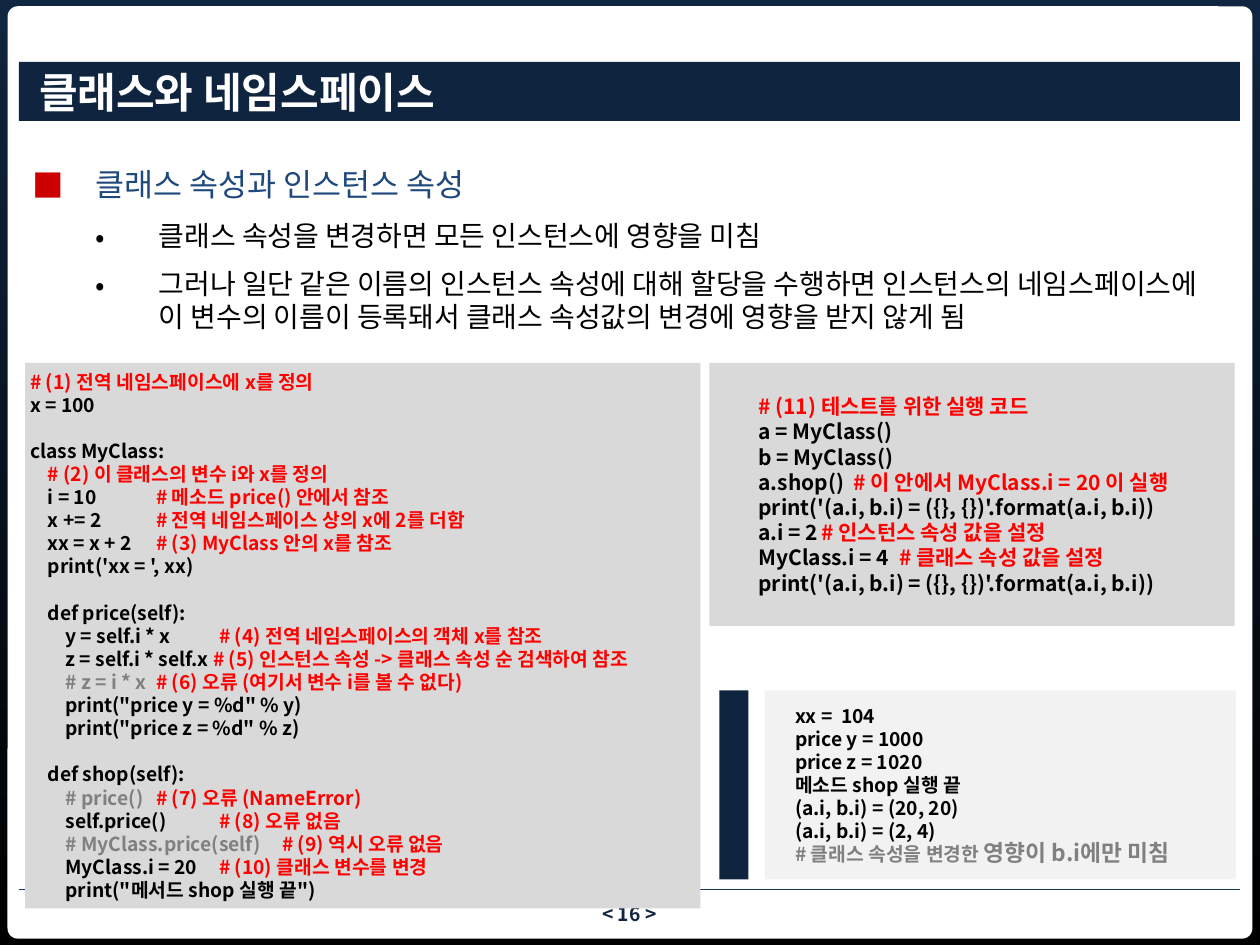
from collections import namedtuple
from pptx import Presentation
from pptx.dml.color import RGBColor
from pptx.enum.shapes import MSO_CONNECTOR, MSO_SHAPE
from pptx.enum.text import MSO_ANCHOR as ANCHOR, MSO_AUTO_SIZE as FIT, PP_ALIGN as ALIGN
from pptx.oxml.xmlchemy import OxmlElement
from pptx.util import Inches, Pt

FONT = "Noto Sans CJK KR"
NAVY = RGBColor(0x0F, 0x24, 0x3E)
DEEP = RGBColor(0x10, 0x25, 0x3F)
RULE = RGBColor(0x17, 0x37, 0x5E)
HEADING = RGBColor(0x1F, 0x49, 0x7D)
WHITE = RGBColor(0xFF, 0xFF, 0xFF)
BLACK = RGBColor(0, 0, 0)
RED = RGBColor(0xFF, 0, 0)
BULLET_RED = RGBColor(0xCC, 0, 0)
GRAY = RGBColor(0x80, 0x80, 0x80)
CODE_FILL = RGBColor(0xD9, 0xD9, 0xD9)
OUTPUT_FILL = RGBColor(0xF2, 0xF2, 0xF2)

COLUMNS, ROWS = 100, 75
CELL = Inches(10) // COLUMNS
LINE_HEIGHT = 1.2
NEST = 1.4
Box = namedtuple("Box", "left top width height")
Line = namedtuple("Line", "runs depth tab gap", defaults=(0, None, 0))


def grid(cells):
    return int(cells * CELL)


def box_at(*cells):
    return Box(*map(grid, cells))


def place(shape, box):
    for side, length in box._asdict().items():
        setattr(shape, side, length)


def add_node(parent, tag, **attributes):
    node = OxmlElement(tag)
    for key, value in attributes.items():
        node.set(key, str(value))
    parent.append(node)
    return node


def set_frame(frame, anchor, left=0, top=0, right=0, bottom=0):
    formats = {
        "word_wrap": True, "auto_size": FIT.NONE, "vertical_anchor": anchor,
        "margin_left": grid(left), "margin_top": grid(top),
        "margin_right": grid(right), "margin_bottom": grid(bottom),
    }
    for key, value in formats.items():
        setattr(frame, key, value)


def add_run(paragraph, text, size, color, bold=True):
    run = paragraph.add_run()
    run.text = text
    for key, value in {"name": FONT, "size": Pt(size), "bold": bold}.items():
        setattr(run.font, key, value)
    run.font.color.rgb = color
    add_node(run.font._element, "a:ea", typeface=FONT)


def add_panel(slide, box, fill, preset=MSO_SHAPE.RECTANGLE):
    panel = slide.shapes.add_shape(preset, *box)
    panel.shadow.inherit = False
    panel.fill.solid()
    panel.fill.fore_color.rgb = fill
    panel.line.fill.background()
    return panel


def add_listing(slide, box, fill, lines, size, indent):
    frame = add_panel(slide, box, fill).text_frame
    set_frame(frame, ANCHOR.MIDDLE, indent, 0.5, 1, 0.5)
    for index, line in enumerate(lines):
        paragraph = frame.paragraphs[0] if index == 0 else frame.add_paragraph()
        paragraph.alignment = ALIGN.LEFT
        paragraph.line_spacing = Pt(size * LINE_HEIGHT)
        paragraph.space_before = Pt(line.gap * size * LINE_HEIGHT)
        properties = paragraph._p.get_or_add_pPr()
        properties.set("marL", "0")
        properties.set("indent", str(grid(line.depth * NEST)))
        if line.tab:
            stops = add_node(properties, "a:tabLst")
            add_node(stops, "a:tab", pos=grid(line.tab), algn="l")
        for text, color, *own_size in line.runs:
            add_run(paragraph, text, own_size[0] if own_size else size, color)


def add_backdrop(slide, box):
    sky = slide.background.fill
    sky.gradient()
    sky.gradient_angle = 270
    for stop, color in zip(sky.gradient_stops, (DEEP, BLACK)):
        stop.color.rgb = color
    card = add_panel(slide, box, WHITE, MSO_SHAPE.ROUNDED_RECTANGLE)
    card.adjustments[0] = 0.011


def add_footer(slide, box):
    rule = slide.shapes.add_connector(
        MSO_CONNECTOR.STRAIGHT, box.left, box.top, box.left + box.width, box.top)
    rule.line.color.rgb = RULE
    rule.line.width = Pt(1)
    add_node(rule._element.spPr, "a:effectLst")
    page = slide.shapes.add_textbox(
        box.left, box.top + grid(1), box.width, box.height - grid(1))
    set_frame(page.text_frame, ANCHOR.MIDDLE)
    number = page.text_frame.paragraphs[0]
    number.alignment = ALIGN.CENTER
    number.line_spacing = Pt(11 * LINE_HEIGHT)
    add_run(number, "< 16 >", 11, DEEP)


def fill_title(slide, box, text):
    title = slide.shapes.title
    slide.shapes._spTree.append(title._element)
    place(title, box)
    title.fill.solid()
    title.fill.fore_color.rgb = NAVY
    set_frame(title.text_frame, ANCHOR.MIDDLE, left=1.6)
    heading = title.text_frame.paragraphs[0]
    heading.alignment = ALIGN.LEFT
    heading.line_spacing = Pt(24 * LINE_HEIGHT)
    add_run(heading, text, 24, WHITE)


def fill_body(slide, box, points):
    body = slide.placeholders[1]
    slide.shapes._spTree.append(body._element)
    place(body, box)
    set_frame(body.text_frame, ANCHOR.TOP)
    styles = [(18, 1.5, HEADING, "■", BULLET_RED), (16, 1, BLACK, "•", BLACK)]
    for index, (level, text) in enumerate(points):
        size, spacing, color, mark, mark_color = styles[level]
        point = body.text_frame.paragraphs[0] if index == 0 else body.text_frame.add_paragraph()
        formats = {
            "level": level, "alignment": ALIGN.LEFT, "space_before": Pt(0),
            "space_after": Pt(size / 2), "line_spacing": Pt(size * spacing * LINE_HEIGHT),
        }
        for key, value in formats.items():
            setattr(point, key, value)
        properties = point._p.get_or_add_pPr()
        properties.set("marL", str(grid(5 * (level + 1))))
        properties.set("indent", str(grid(-5)))
        add_node(add_node(properties, "a:buClr"), "a:srgbClr", val=mark_color)
        add_node(properties, "a:buFont", typeface=FONT)
        add_node(properties, "a:buChar", char=mark)
        add_run(point, text, size, color, bold=False)


def code(text, comment="", depth=0, tab=None, gap=0, color=BLACK):
    runs = [(text + ("\t" if tab else ""), color), (comment, RED)]
    return Line([run for run in runs if run[0]], depth, tab, gap)


CLASS_CODE = [
    code("", "# (1) 전역 네임스페이스에 x를 정의"),
    code("x = 100"),
    code("class MyClass:", gap=1),
    code("", "# (2) 이 클래스의 변수 i와 x를 정의", 1),
    code("i = 10", "# 메소드 price() 안에서 참조", 1, 10.7),
    code("x += 2", "# 전역 네임스페이스 상의 x에 2를 더함", 1, 10.7),
    code("xx = x + 2", "# (3) MyClass 안의 x를 참조", 1, 10.7),
    code("print('xx = ', xx)", depth=1),
    code("def price(self):", depth=1, gap=1),
    code("y = self.i * x", "# (4) 전역 네임스페이스의 객체 x를 참조", 2, 13.2),
    code("z = self.i * self.x ", "# (5) 인스턴스 속성 -> 클래스 속성 순 검색하여 참조", 2),
    code("# z = i * x", "# (6) 오류 (여기서 변수 i를 볼 수 없다)", 2, 12.4, color=GRAY),
    code('print("price y = %d" % y)', depth=2),
    code('print("price z = %d" % z)', depth=2),
    code("def shop(self):", depth=1, gap=1),
    code("# price()", "# (7) 오류 (NameError)", 2, 21.4, color=GRAY),
    code("self.price()", "# (8) 오류 없음", 2, 21.4),
    code("# MyClass.price(self)", "# (9) 역시 오류 없음", 2, 21.4, color=GRAY),
    code("MyClass.i = 20", "# (10) 클래스 변수를 변경", 2, 21.4),
    code('print("메서드 shop 실행 끝")', depth=2),
]
PRINT_PAIR = code("print('(a.i, b.i) = ({}, {})'.format(a.i, b.i))")
TEST_CODE = [
    code("", "# (11) 테스트를 위한 실행 코드"),
    code("a = MyClass()"),
    code("b = MyClass()"),
    code("a.shop()  ", "# 이 안에서 MyClass.i = 20 이 실행"),
    PRINT_PAIR,
    code("a.i = 2", "# 인스턴스 속성 값을 설정", tab=11.6),
    code("MyClass.i = 4  ", "# 클래스 속성 값을 설정"),
    PRINT_PAIR,
]
OUTPUT = [code(text) for text in (
    "xx =  104", "price y = 1000", "price z = 1020", "메소드 shop 실행 끝",
    "(a.i, b.i) = (20, 20)", "(a.i, b.i) = (2, 4)")]
OUTPUT.append(Line([("# 클래스 속성을 변경한 ", GRAY), ("영향이 b.i에만 미침", GRAY, 13)]))
POINTS = [
    (0, "클래스 속성과 인스턴스 속성"),
    (1, "클래스 속성을 변경하면 모든 인스턴스에 영향을 미침"),
    (1, "그러나 일단 같은 이름의 인스턴스 속성에 대해 할당을 수행하면 인스턴스의 네임스페이스에 "
        "이 변수의 이름이 등록돼서 클래스 속성값의 변경에 영향을 받지 않게 됨"),
]


def main():
    deck = Presentation()
    deck.slide_width, deck.slide_height = COLUMNS * CELL, ROWS * CELL
    slide = deck.slides.add_slide(deck.slide_layouts[1])
    add_backdrop(slide, box_at(0.6, 0.5, 98.8, 74))
    add_footer(slide, box_at(1.5, 70.6, 96.9, 2.9))
    fill_title(slide, box_at(1.5, 4.9, 96.9, 4.7), "클래스와 네임스페이스")
    fill_body(slide, box_at(2.6, 11.6, 94.8, 15.5), POINTS)
    add_listing(slide, box_at(2, 28.8, 53.6, 43.3), CODE_FILL, CLASS_CODE, 11, 0.4)
    add_listing(slide, box_at(56.3, 28.8, 41.7, 20.9), CODE_FILL, TEST_CODE, 12, 3.9)
    add_listing(slide, box_at(60.7, 54.8, 37.4, 15), OUTPUT_FILL, OUTPUT, 11, 2.4)
    add_panel(slide, box_at(57.1, 54.8, 2.3, 15), NAVY)
    deck.save("out.pptx")


if __name__ == "__main__":
    main()
